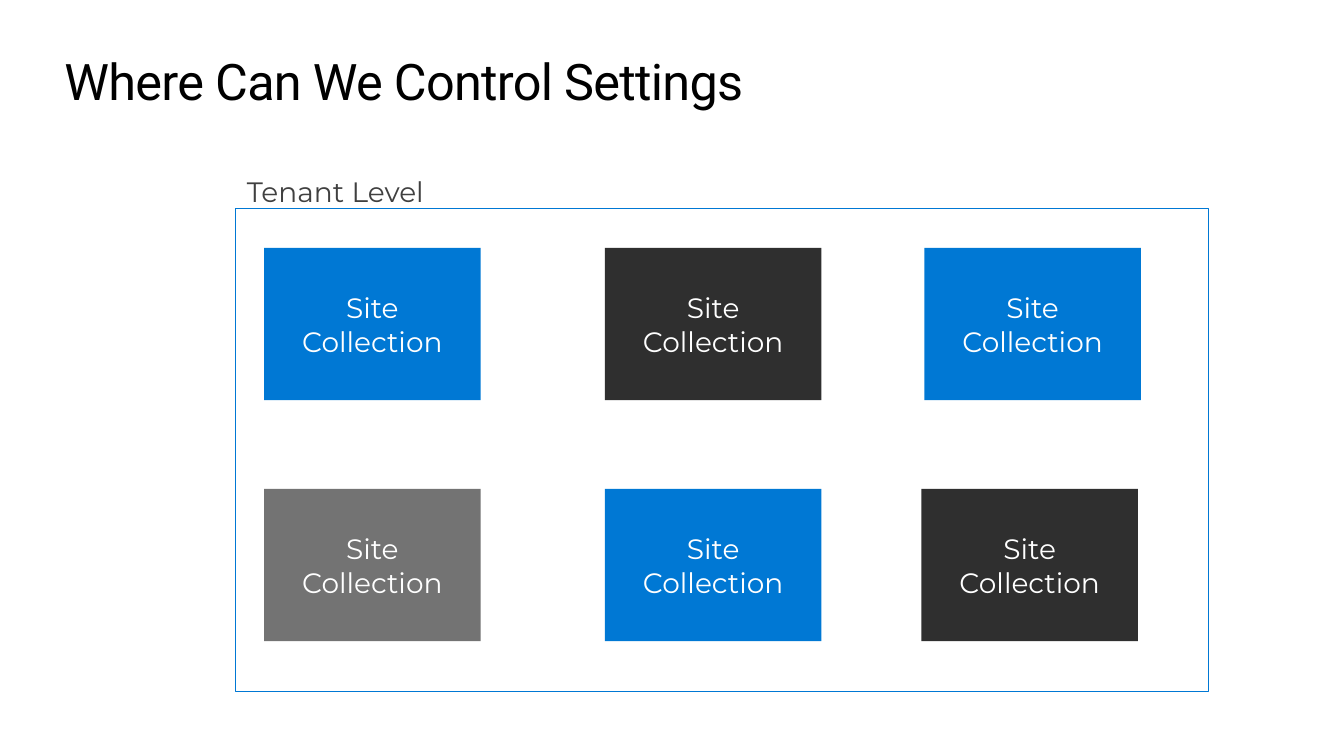
import pptx
import pptx.dml.color
import pptx.enum.shapes
import pptx.enum.text
import pptx.util

Pt = pptx.util.Pt
ALIGN = pptx.enum.text.PP_ALIGN
ANCHOR = pptx.enum.text.MSO_ANCHOR

BLUE = "0078D4"
DARK = "2F2F2F"
GRAY = "737373"


def color(hex_value):
    return pptx.dml.color.RGBColor.from_string(hex_value)


def write(shape, text, font="Montserrat", size=20, fill="FFFFFF", align=ALIGN.LEFT,
          anchor=ANCHOR.TOP, insets=(7.2, 3.6), spacing=None):
    frame = shape.text_frame
    frame.word_wrap = True
    frame.auto_size = pptx.enum.text.MSO_AUTO_SIZE.NONE
    frame.vertical_anchor = anchor
    frame.margin_left = frame.margin_right = Pt(insets[0])
    frame.margin_top = frame.margin_bottom = Pt(insets[1])
    paragraph = frame.paragraphs[0]
    paragraph.alignment = align
    paragraph.line_spacing = 1.0
    paragraph.space_before = Pt(0)
    run = paragraph.add_run()
    run.text = text
    run.font.name = font
    run.font.size = Pt(size)
    run.font.color.rgb = color(fill)
    if spacing is not None:
        run.font._element.set("spc", str(round(spacing * 100)))


class SlideBuilder:
    label_color = "404040"
    title_color = "000000"
    border_width = 0.85

    def __init__(self, presentation):
        self.slide = presentation.slides.add_slide(presentation.slide_layouts[5])

    def title(self, text, left, top, width, height):
        shape = self.slide.shapes.title
        shape.left, shape.top = Pt(left), Pt(top)
        shape.width, shape.height = Pt(width), Pt(height)
        write(shape, text, font="Roboto", size=36, fill=self.title_color,
              insets=(0, 0), spacing=-0.5)

    def rectangle(self, left, top, width, height):
        shape = self.slide.shapes.add_shape(
            pptx.enum.shapes.MSO_SHAPE.RECTANGLE, Pt(left), Pt(top), Pt(width), Pt(height))
        shape.shadow.inherit = False
        return shape

    def border(self, left, top, width, height):
        shape = self.rectangle(left, top, width, height)
        shape.fill.background()
        shape.line.color.rgb = color(BLUE)
        shape.line.width = Pt(self.border_width)

    def label(self, text, left, top, width, height):
        shape = self.slide.shapes.add_textbox(Pt(left), Pt(top), Pt(width), Pt(height))
        write(shape, text, fill=self.label_color)

    def tile(self, text, fill, left, top, width, height):
        shape = self.rectangle(left, top, width, height)
        shape.fill.solid()
        shape.fill.fore_color.rgb = color(fill)
        shape.line.fill.background()
        write(shape, text, align=ALIGN.CENTER, anchor=ANCHOR.MIDDLE, insets=(14.4, 14.4))


def main():
    presentation = pptx.Presentation()
    presentation.slide_width = Pt(960)
    presentation.slide_height = Pt(540)

    builder = SlideBuilder(presentation)
    builder.title("Where Can We Control Settings", 46, 36, 867.6, 43.9)
    builder.border(168.5, 149, 694.8, 344.9)
    builder.label("Tenant Level", 169.2, 121, 262.8, 31.7)

    tile_rows = [
        (177.1, [(188.6, BLUE), (432, DARK), (660.2, BLUE)]),
        (349.2, [(188.6, GRAY), (432, BLUE), (658.1, DARK)]),
    ]
    for top, tiles in tile_rows:
        for left, fill in tiles:
            builder.tile("Site Collection", fill, left, top, 154.8, 108.7)

    presentation.save("out.pptx")


if __name__ == "__main__":
    main()
